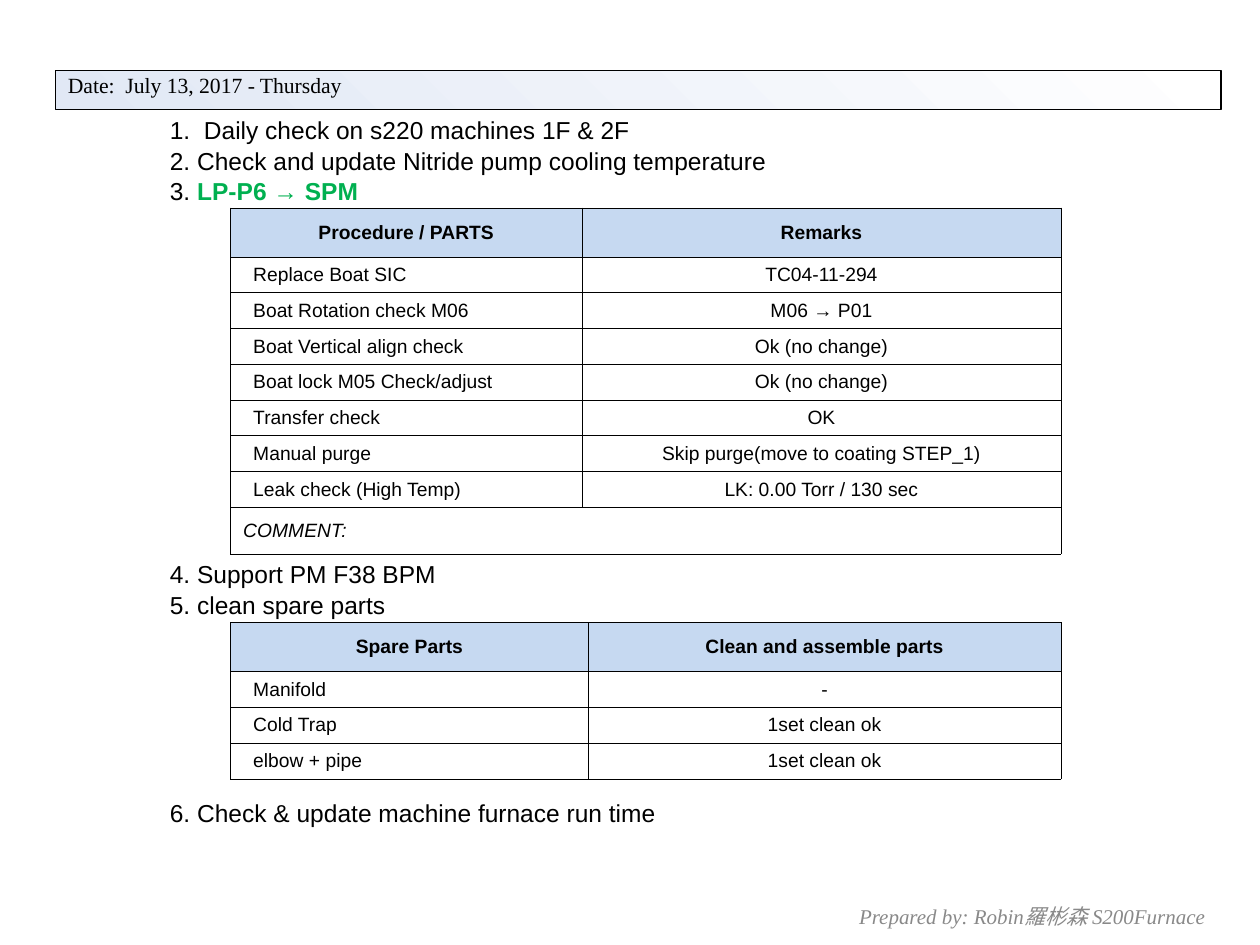
from dataclasses import dataclass

from lxml.etree import SubElement
from pptx import Presentation
from pptx.dml.color import RGBColor
from pptx.enum.shapes import MSO_SHAPE
from pptx.enum.text import MSO_ANCHOR, PP_ALIGN
from pptx.oxml.ns import qn
from pptx.util import Inches, Pt


@dataclass(frozen=True)
class Theme:
    sans: str = "Arial"
    serif: str = "Times New Roman"
    ink: str = "000000"
    paper: str = "FFFFFF"
    grey: str = "898989"
    green: str = "00B050"
    head: str = "C6D9F1"
    tint: str = "E1E8F5"
    body: float = 14
    cell: float = 11
    date: float = 12.4
    foot: float = 12
    edge: float = 0.45
    frame: float = 0.75


T = Theme()

DATE = "Date:  July 13, 2017 - Thursday"
FOOTER = "Prepared by: Robin羅彬森 S200Furnace"

# Each task: lead text, green text, points of space before
TASKS = [
    ("1.  Daily check on s220 machines 1F & 2F", "", 0),
    ("2. Check and update Nitride pump cooling temperature", "", 0),
    ("3. ", "LP-P6 → SPM", 0),
    ("4. Support PM F38 BPM", "", 201),
    ("5. clean spare parts", "", 0),
    ("6. Check & update machine furnace run time", "", 101),
]

TABLES = [
    {
        "top": 1.65, "height": 2.74, "cols": (2.79, 3.8),
        "head": ("Procedure / PARTS", "Remarks"),
        "rows": [
            ("Replace Boat SIC", "TC04-11-294"),
            ("Boat Rotation check M06", "M06 → P01"),
            ("Boat Vertical align check", "Ok (no change)"),
            ("Boat lock M05 Check/adjust", "Ok (no change)"),
            ("Transfer check", "OK"),
            ("Manual purge", "Skip purge(move to coating STEP_1)"),
            ("Leak check (High Temp)", "LK: 0.00 Torr / 130 sec"),
        ],
        "note": "COMMENT:",
    },
    {
        "top": 4.94, "height": 1.24, "cols": (2.84, 3.75),
        "head": ("Spare Parts", "Clean and assemble parts"),
        "rows": [
            ("Manifold", "-"),
            ("Cold Trap", "1set clean ok"),
            ("elbow + pipe", "1set clean ok"),
        ],
        "note": None,
    },
]

LEFT = 1.83
HEAD_ROW, NOTE_ROW = 0.39, 0.37
INDENT = 0.18


def color(code):
    return RGBColor.from_string(code)


def write(para, text, size=T.body, font=T.sans, ink=T.ink,
          bold=False, italic=False, align=PP_ALIGN.LEFT):
    para.alignment = align
    run = para.add_run()
    run.text = text
    run.font.size = Pt(size)
    run.font.name = font
    run.font.color.rgb = color(ink)
    run.font.bold = bold
    run.font.italic = italic


def add_box(slide, *area):
    frame = slide.shapes.add_textbox(*map(Inches, area)).text_frame
    frame.word_wrap = True
    return frame


def add_date(slide):
    bar = slide.shapes.add_shape(
        MSO_SHAPE.RECTANGLE, *map(Inches, (0.44, 0.56, 9.25, 0.31)))
    bar.shadow.inherit = False
    bar.fill.gradient()
    bar.fill.gradient_angle = 225
    for stop, code in zip(bar.fill.gradient_stops, (T.paper, T.tint)):
        stop.color.rgb = color(code)
    bar.line.color.rgb = color(T.ink)
    bar.line.width = Pt(T.frame)
    frame = bar.text_frame
    frame.vertical_anchor = MSO_ANCHOR.TOP
    para = frame.paragraphs[0]
    para.line_spacing = 0.8
    write(para, DATE, size=T.date, font=T.serif)


def add_tasks(slide):
    frame = add_box(slide, 1.25, 0.85, 8.17, 5.71)
    for i, (lead, mark, gap) in enumerate(TASKS):
        para = frame.add_paragraph() if i else frame.paragraphs[0]
        para.line_spacing = 1.05
        if gap:
            para.space_before = Pt(gap)
        write(para, lead)
        if mark:
            write(para, mark, ink=T.green, bold=True)


def add_edges(cell):
    """Draw all four borders; they must come before the cell's fill."""
    props = cell._tc.get_or_add_tcPr()
    for side in ("lnL", "lnR", "lnT", "lnB"):
        line = SubElement(props, qn(f"a:{side}"), w=str(Pt(T.edge)))
        fill = SubElement(line, qn("a:solidFill"))
        SubElement(fill, qn("a:srgbClr"), val=T.ink)


def fill_cell(cell, text, fill=T.paper, indent=0.1, **style):
    cell.fill.solid()
    cell.fill.fore_color.rgb = color(fill)
    cell.vertical_anchor = MSO_ANCHOR.MIDDLE
    cell.margin_left = Inches(indent)
    write(cell.text_frame.paragraphs[0], text, size=T.cell, **style)


def add_grid(slide, data):
    rows, note = data["rows"], data["note"]
    count = len(rows)
    spare = data["height"] - HEAD_ROW - (NOTE_ROW if note else 0)
    sizes = [HEAD_ROW] + [spare / count] * count + [NOTE_ROW] * bool(note)
    grid = slide.shapes.add_table(
        len(sizes), 2, Inches(LEFT), Inches(data["top"]),
        Inches(sum(data["cols"])), Inches(data["height"])).table
    for col, width in zip(grid.columns, data["cols"]):
        col.width = Inches(width)
    for row, size in zip(grid.rows, sizes):
        row.height = Inches(size)
        for cell in row.cells:
            add_edges(cell)
    mid = PP_ALIGN.CENTER
    for i, text in enumerate(data["head"]):
        fill_cell(grid.cell(0, i), text, fill=T.head, bold=True, align=mid)
    for i, (part, state) in enumerate(rows, 1):
        fill_cell(grid.cell(i, 0), part, indent=INDENT)
        fill_cell(grid.cell(i, 1), state, align=mid)
    if note:
        last = grid.cell(count + 1, 0)
        last.merge(grid.cell(count + 1, 1))
        fill_cell(last, note, italic=True)


def add_footer(slide):
    frame = add_box(slide, 6.72, 7.07, 3.17, 0.4)
    frame.vertical_anchor = MSO_ANCHOR.MIDDLE
    write(frame.paragraphs[0], FOOTER, size=T.foot, font=T.serif,
          ink=T.grey, italic=True)


def main():
    deck = Presentation()
    deck.slide_width, deck.slide_height = Inches(10), Inches(7.5)
    slide = deck.slides.add_slide(deck.slide_layouts[6])
    add_footer(slide)
    add_date(slide)
    add_tasks(slide)
    for data in reversed(TABLES):
        add_grid(slide, data)
    deck.save("out.pptx")


if __name__ == "__main__":
    main()
